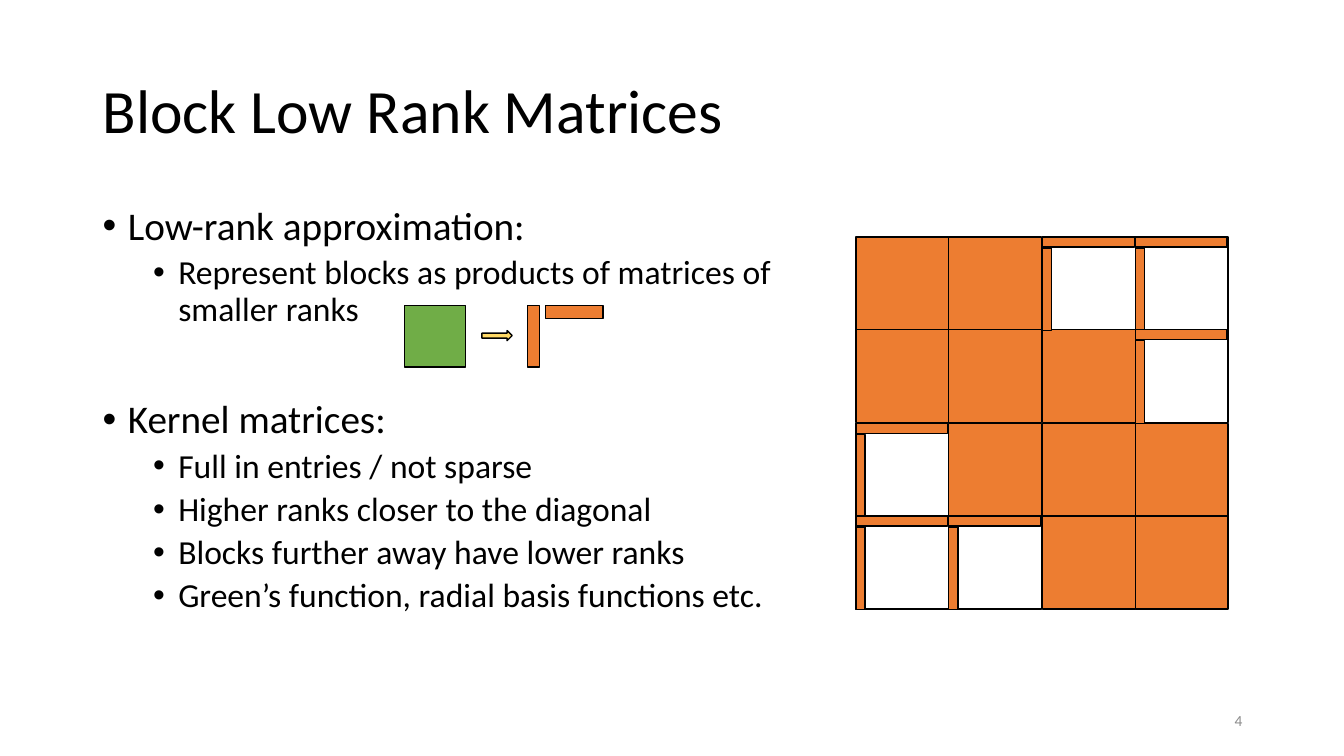
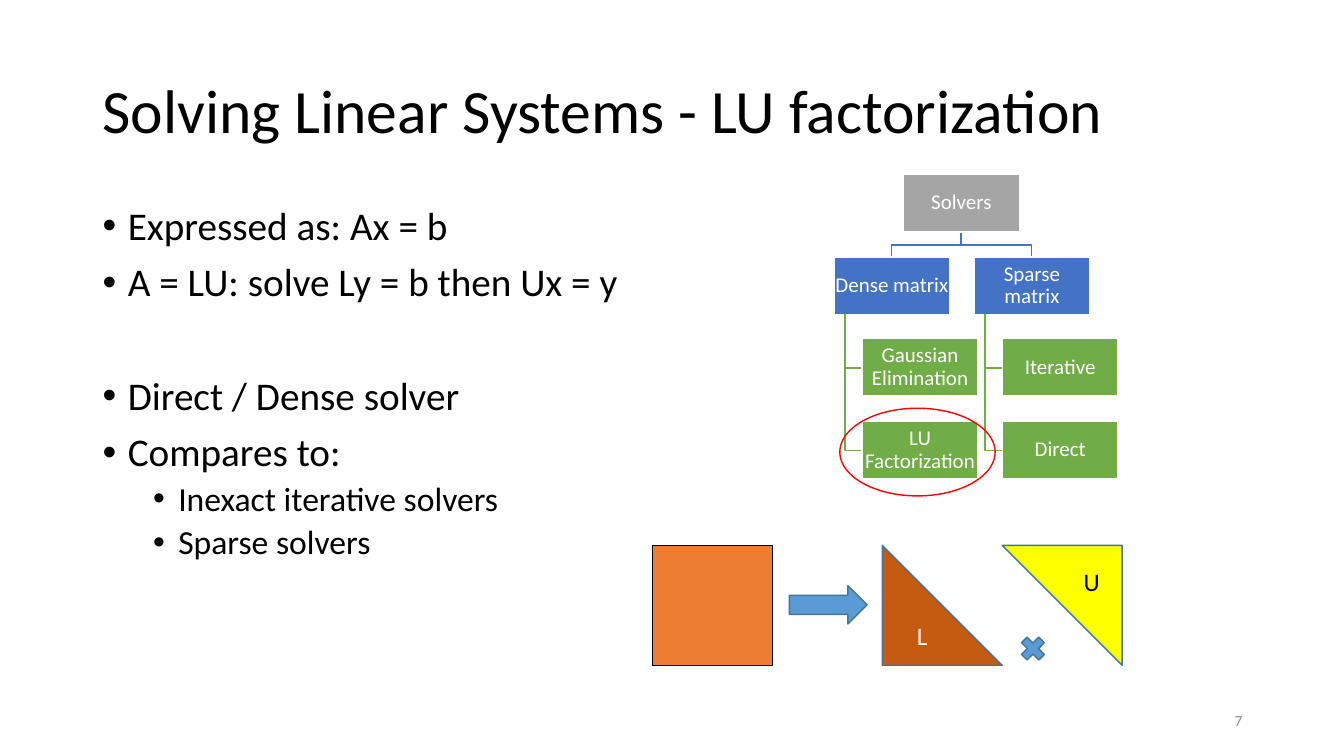
from lxml import etree
from pptx import Presentation
from pptx.dml.color import RGBColor
from pptx.enum.shapes import MSO_SHAPE
from pptx.enum.text import MSO_ANCHOR, PP_ALIGN
from pptx.oxml.ns import qn
from pptx.util import Pt

PX = 9144  # EMU in one px, 100 px to the inch
FONT = "Calibri"
COLOURS = {
    "black": "000000", "white": "FFFFFF", "number": "8C8C8C",
    "orange": "ED7D31", "brown": "C55A11", "green": "70AD47",
    "gold": "FFD966", "yellow": "FFFF00", "sky": "5B9BD5",
    "steel": "43739E", "blue": "4472C4", "grey": "A5A5A5", "red": "FF0000",
}
RECT = MSO_SHAPE.RECTANGLE
ARROW = MSO_SHAPE.RIGHT_ARROW
TRIANGLE = MSO_SHAPE.RIGHT_TRIANGLE
TIMES = MSO_SHAPE.MATH_MULTIPLY
OVAL = MSO_SHAPE.OVAL
TOP, MIDDLE = MSO_ANCHOR.TOP, MSO_ANCHOR.MIDDLE
LEFT, CENTER, RIGHT = PP_ALIGN.LEFT, PP_ALIGN.CENTER, PP_ALIGN.RIGHT

# Bullet level: text size, space before, left margin in px
LEVELS = [(28, 10, 25), (24, 5, 75)]
BULLET_HANG = 25
SECTION_GAP = 51


def colour(name):
    return RGBColor.from_string(COLOURS[name])


def emu(*lengths):
    return [length * PX for length in lengths]


def style_paragraph(para, size, ink, align=LEFT, spacing=None):
    para.alignment = align
    para.line_spacing = spacing
    para.font.name = FONT
    para.font.size = Pt(size)
    para.font.color.rgb = colour(ink)


def style_outline(shape, fill, line):
    shape.shadow.inherit = False
    if fill:
        shape.fill.solid()
        shape.fill.fore_color.rgb = colour(fill)
    else:
        shape.fill.background()
    shape.line.color.rgb = colour(line)
    shape.line.width = Pt(1)


def add_box(page, kind, box, fill, line="black"):
    shape = page.shapes.add_shape(kind, *emu(*box))
    style_outline(shape, fill, line)
    return shape


def add_path(page, points, line):
    start, *others = [emu(*point) for point in points]
    builder = page.shapes.build_freeform(*start)
    builder.add_line_segments(others, close=False)
    style_outline(builder.convert_to_shape(), None, line)


def add_text(page, box, text, size, ink="black", anchor=TOP, align=LEFT, spacing=None):
    frame = page.shapes.add_textbox(*emu(*box)).text_frame
    frame.word_wrap = True
    frame.vertical_anchor = anchor
    para = frame.paragraphs[0]
    para.text = text
    style_paragraph(para, size, ink, align, spacing)


def add_bullets(page, box, items):
    """Items are (level, text), with True third where a new section starts."""
    frame = page.shapes.add_textbox(*emu(*box)).text_frame
    frame.word_wrap = True
    for index, (level, text, *section) in enumerate(items):
        para = frame.paragraphs[0] if index == 0 else frame.add_paragraph()
        para.text = text
        para.level = level
        size, before, margin = LEVELS[level]
        properties = para._p.get_or_add_pPr()
        properties.set("marL", str(margin * PX))
        properties.set("indent", str(-BULLET_HANG * PX))
        etree.SubElement(properties, qn("a:buFont"), typeface="Arial")
        etree.SubElement(properties, qn("a:buChar"), char="•")
        para.space_before = Pt(SECTION_GAP if section else before)
        style_paragraph(para, size, "black", spacing=0.9)


def add_page(deck, title, number, bullets, bullets_width):
    page = deck.slides.add_slide(deck.slide_layouts[6])
    add_text(page, (92, 40, 1150, 145), title, 44, anchor=MIDDLE, spacing=0.9)
    add_bullets(page, (92, 200, bullets_width, 476), bullets)
    add_text(page, (942, 695, 300, 40), number, 11, "number", MIDDLE, RIGHT)
    return page


def draw_block_matrix(page, left, top, size, count=4):
    """Dense blocks by the diagonal, thin factors two or more steps away."""
    cell = size // count
    edges = [size * index // count for index in range(count)]
    cells = [(row, column) for row in range(count) for column in range(count)]
    for row, column in sorted(cells, key=lambda place: abs(place[0] - place[1]) > 1):
        x, y = left + edges[column], top + edges[row]
        low_rank = abs(row - column) > 1
        add_box(page, RECT, (x, y, cell, cell), "white" if low_rank else "orange")
        if low_rank:
            add_box(page, RECT, (x, y + 11, 9, cell - 10), "orange")
            add_box(page, RECT, (x, y, cell - 1, 10), "orange")


def draw_low_rank_product(page, left, top, size):
    add_box(page, ARROW, (left + 77, top + 25, 30, 10), "gold")
    add_box(page, RECT, (left + 122, top, 12, size), "orange")
    add_box(page, RECT, (left + 140, top, 57, 13), "orange")
    add_box(page, RECT, (left, top, size, size), "green")


def draw_lu_product(page, left, top, size):
    lower_left = left + 228
    upper_left = lower_left + size
    add_box(page, RECT, (left, top, size, size), "orange")
    add_box(page, ARROW, (left + 136, top + 40, 77, 38), "sky", "steel")
    lower = add_box(page, TRIANGLE, (lower_left, top, size, size), "brown", "steel")
    para = lower.text_frame.paragraphs[0]
    para.text = "L"
    style_paragraph(para, 18, "white", CENTER)
    upper = add_box(page, TRIANGLE, (upper_left, top, size, size), "yellow", "steel")
    upper.rotation = 180
    add_box(page, TIMES, (upper_left + 14, top + 86, 33, 33), "sky", "steel")
    add_text(page, (upper_left + 71, top + 16, 28, 30), "U", 18)


def draw_solver_tree(page, left, top):
    width, height = 115, 57
    branch_pitch, child_indent, stem_indent = 139, 28, 11
    level_tops = [top + round(245 * level / 3) for level in range(4)]
    root_left = left + branch_pitch // 2
    branches = [
        ("Dense matrix", ["Gaussian Elimination", "LU Factorization"]),
        ("Sparse matrix", ["Iterative", "Direct"]),
    ]

    def add_node(x, y, text, fill):
        frame = add_box(page, RECT, (x, y, width, height), fill, "white").text_frame
        frame.word_wrap = True
        frame.vertical_anchor = MIDDLE
        frame.margin_left = frame.margin_right = 0
        frame.margin_top = frame.margin_bottom = 0
        para = frame.paragraphs[0]
        para.text = text
        style_paragraph(para, 15, "white", CENTER, 0.9)

    add_node(root_left, top, "Solvers", "grey")
    for index, (branch, children) in enumerate(branches):
        x = left + index * branch_pitch
        branch_top = level_tops[1]
        root_x, branch_x = root_left + width // 2, x + width // 2
        fork = branch_top - 12
        add_path(page, [(root_x, top + height + 1), (root_x, fork),
                        (branch_x, fork), (branch_x, branch_top)], "blue")
        add_node(x, branch_top, branch, "blue")
        for child, child_top in zip(children, level_tops[2:]):
            stem_x, middle = x + stem_indent, child_top + height // 2 + 1
            add_path(page, [(stem_x, branch_top + height), (stem_x, middle),
                            (x + child_indent, middle)], "green")
            add_node(x + child_indent, child_top, child, "green")


def build_matrices_page(deck):
    page = add_page(deck, "Block Low Rank Matrices", "4", [
        (0, "Low-rank approximation:"),
        (1, "Represent blocks as products of matrices of smaller ranks"),
        (0, "Kernel matrices:", True),
        (1, "Full in entries / not sparse"),
        (1, "Higher ranks closer to the diagonal"),
        (1, "Blocks further away have lower ranks"),
        (1, "Green’s function, radial basis functions etc."),
    ], 689)
    draw_block_matrix(page, 849, 235, 370)
    draw_low_rank_product(page, 401, 303, 61)


def build_solvers_page(deck):
    page = add_page(deck, "Solving Linear Systems - LU factorization", "7", [
        (0, "Expressed as: Ax = b"),
        (0, "A = LU: solve Ly = b then Ux = y"),
        (0, "Direct / Dense solver", True),
        (0, "Compares to:"),
        (1, "Inexact iterative solvers"),
        (1, "Sparse solvers"),
    ], 646)
    draw_lu_product(page, 647, 541, 119)
    draw_solver_tree(page, 827, 173)
    add_box(page, OVAL, (833, 405, 154, 87), None, "red")


def main():
    deck = Presentation()
    deck.slide_width, deck.slide_height = emu(1333, 750)
    build_matrices_page(deck)
    build_solvers_page(deck)
    deck.save("out.pptx")


if __name__ == "__main__":
    main()
